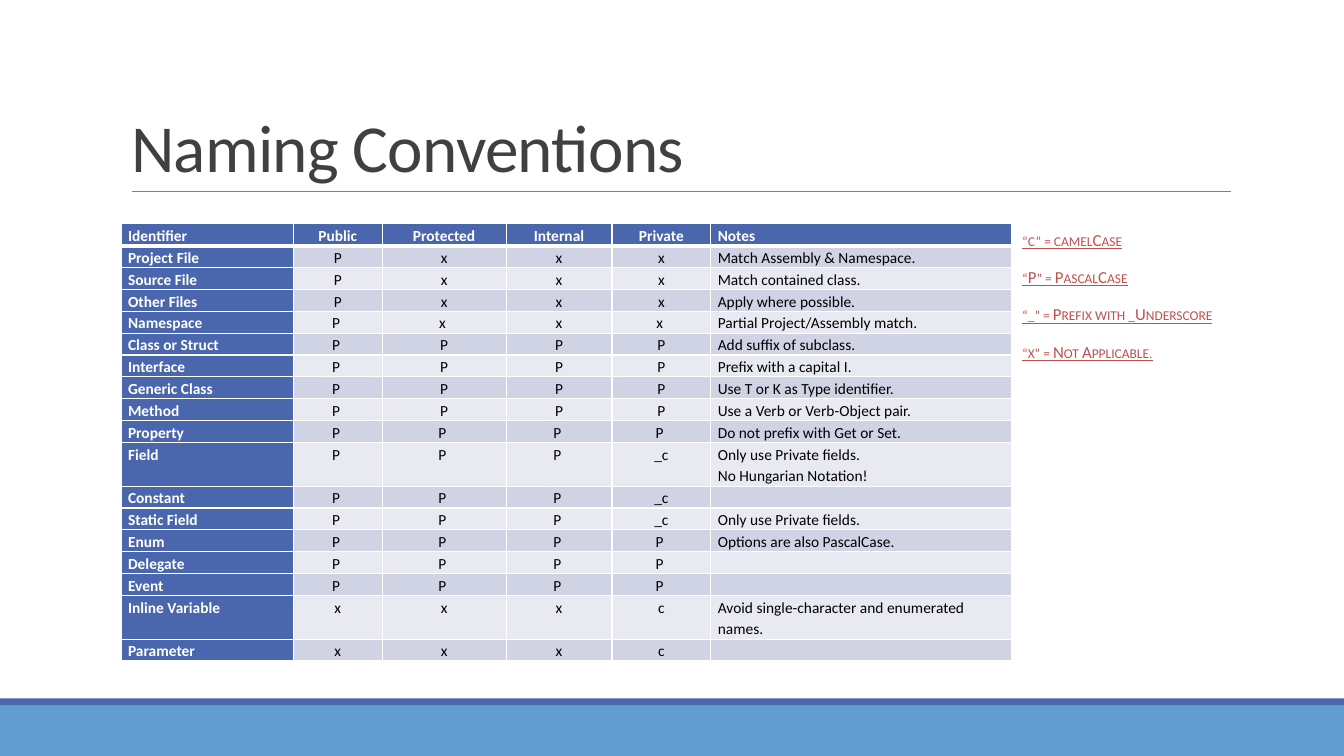
from lxml.etree import SubElement
from pptx import Presentation
from pptx.dml.color import RGBColor
from pptx.enum.shapes import MSO_CONNECTOR, MSO_SHAPE
from pptx.enum.text import MSO_ANCHOR, MSO_AUTO_SIZE, PP_ALIGN
from pptx.oxml.ns import qn
from pptx.util import Inches, Pt

WHITE = RGBColor(0xFF, 0xFF, 0xFF)
BLACK = RGBColor(0x00, 0x00, 0x00)
INK = RGBColor(0x40, 0x40, 0x40)
GREY = RGBColor(0x80, 0x80, 0x80)
NAVY = RGBColor(0x4A, 0x66, 0xAC)
SKY = RGBColor(0x62, 0x9D, 0xD1)
RED = RGBColor(0xC0, 0x50, 0x4D)
BANDS = (RGBColor(0xE9, 0xEA, 0xF1), RGBColor(0xD0, 0xD3, 0xE3))

WIDTHS = (1.71, 0.88, 1.23, 1.05, 0.98, 2.98)
RULES = """Identifier|Public|Protected|Internal|Private|Notes
Project File|P|x|x|x|Match Assembly & Namespace.
Source File|P|x|x|x|Match contained class.
Other Files|P|x|x|x|Apply where possible.
Namespace|P |x |x|x |Partial Project/Assembly match.
Class or Struct|P |P|P|P|Add suffix of subclass.
Interface|P |P|P|P|Prefix with a capital I.
Generic Class|P |P|P|P|Use T or K as Type identifier.
Method|P |P|P|P|Use a Verb or Verb-Object pair.
Property|P |P |P |P |Do not prefix with Get or Set.
Field|P |P |P |_c|Only use Private fields. ;No Hungarian Notation!
Constant|P |P |P |_c|
Static Field|P |P |P |_c|Only use Private fields.
Enum|P |P |P |P |Options are also PascalCase.
Delegate|P |P |P |P |
Event|P |P |P |P |
Inline Variable|x|x|x|c|Avoid single-character and enumerated names.
Parameter|x|x|x|c|"""
LEGEND = ("“c” = camelCase", "“P” = PascalCase",
          "“_” = Prefix with _Underscore", "“x” = Not Applicable.")


def apply(item, style):
    for key, value in style.items():
        setattr(item, key, value)


class Page:
    face = "Calibri"

    def __init__(self, deck):
        self.slide = deck.slides.add_slide(deck.slide_layouts[5])
        self.shapes = self.slide.shapes

    def text(self, frame, lines, look, para, color, marks):
        for i, line in enumerate(lines):
            p = frame.paragraphs[0] if i == 0 else frame.add_paragraph()
            apply(p, para)
            if not line:
                p._p.get_or_add_endParaRPr().set("sz", str(int(look["size"].pt * 100)))
                continue
            run = p.add_run()
            run.text = line
            apply(run.font, {"name": self.face, **look})
            run.font.color.rgb = color
            for key, value in marks.items():
                run._r.get_or_add_rPr().set(key, value)

    def bar(self, top, height, color):
        box = self.shapes.add_shape(MSO_SHAPE.RECTANGLE, 0, Inches(top),
                                    Inches(13.33), Inches(height))
        box.shadow.inherit = False
        box.fill.solid()
        box.fill.fore_color.rgb = color
        box.line.fill.background()

    def rule(self, left, right, y):
        line = self.shapes.add_connector(MSO_CONNECTOR.STRAIGHT, Inches(left),
                                         Inches(y), Inches(right), Inches(y))
        line.line.color.rgb = GREY
        line.line.width = Pt(0.5)
        SubElement(line._element.spPr, qn("a:effectLst"))

    def title(self, words):
        box = self.shapes.title
        apply(box, {"left": Inches(1.2), "top": Inches(0.31),
                    "width": Inches(11), "height": Inches(1.59)})
        apply(box.text_frame, {"vertical_anchor": MSO_ANCHOR.BOTTOM,
                               "auto_size": MSO_AUTO_SIZE.NONE, "word_wrap": True})
        self.text(box.text_frame, [words], {"size": Pt(48)},
                  {"line_spacing": 0.85, "alignment": PP_ALIGN.LEFT},
                  INK, {"spc": "-50"})

    def legend(self, lines):
        box = self.shapes.add_textbox(Inches(10.04), Inches(2.2),
                                      Inches(2.59), Inches(1.44))
        box.text_frame.word_wrap = True
        self.text(box.text_frame, lines, {"size": Pt(12), "underline": True},
                  {"line_spacing": 1.15, "space_after": Pt(10)},
                  RED, {"cap": "small"})

    def edges(self, cell, row):
        props = cell._tc.get_or_add_tcPr()
        thick = {0: "lnB", 1: "lnT"}.get(row)
        for side in ("lnL", "lnR", "lnT", "lnB"):
            width = Pt(3 if side == thick else 1)
            line = SubElement(props, qn("a:" + side), w=str(int(width)))
            fill = SubElement(line, qn("a:solidFill"))
            SubElement(fill, qn("a:srgbClr"), val=str(WHITE))

    def table(self, rows):
        grid = self.shapes.add_table(len(rows), len(WIDTHS), Inches(1.2), Inches(2.22),
                                     Inches(sum(WIDTHS)), Inches(4.22)).table
        for col, width in zip(grid.columns, WIDTHS):
            col.width = Inches(width)
        for r, row in enumerate(rows):
            grid.rows[r].height = Inches(0.34 if ";" in row[-1] else 0.16)
            for c, words in enumerate(row):
                cell = grid.cell(r, c)
                head = r == 0 or c == 0
                apply(cell, {"margin_left": Inches(0.07), "margin_right": Inches(0.07),
                             "margin_top": 0, "margin_bottom": 0})
                self.edges(cell, r)
                cell.fill.solid()
                cell.fill.fore_color.rgb = NAVY if head else BANDS[r % 2]
                side = PP_ALIGN.CENTER if 0 < c < 5 else PP_ALIGN.LEFT
                self.text(cell.text_frame, words.split(";"),
                          {"size": Pt(11), "bold": head},
                          {"line_spacing": 1.15, "alignment": side},
                          WHITE if head else BLACK, {})


def main():
    deck = Presentation()
    apply(deck, {"slide_width": Inches(13.33), "slide_height": Inches(7.5)})
    page = Page(deck)
    page.bar(7, 0.5, SKY)
    page.bar(6.93, 0.07, NAVY)
    page.rule(1.31, 12.21, 1.9)
    page.title("Naming Conventions")
    page.table([line.split("|") for line in RULES.split("\n")])
    page.legend(LEGEND)
    deck.save("out.pptx")


if __name__ == "__main__":
    main()
